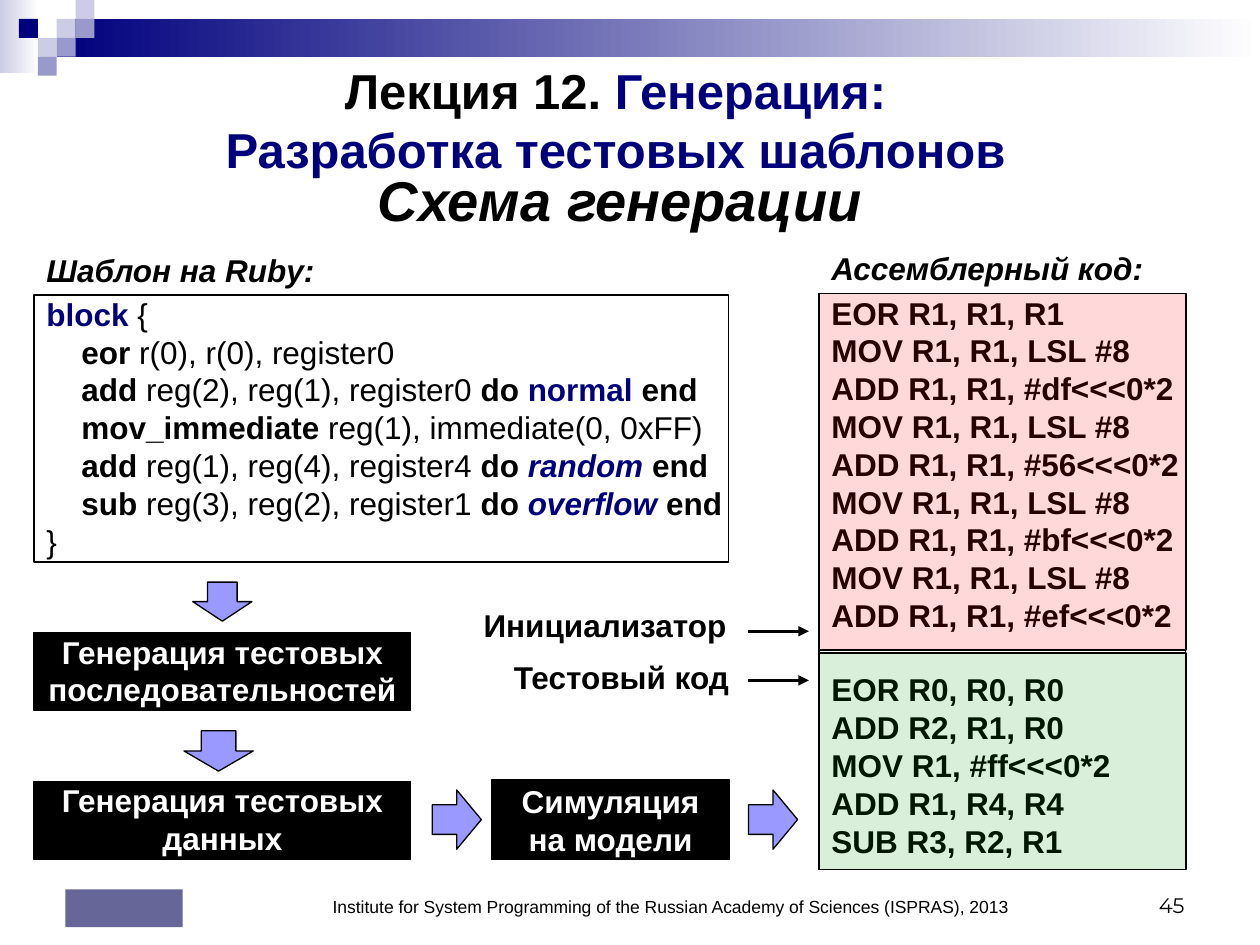
from dataclasses import dataclass

from pptx import Presentation
from pptx import util as u
from pptx.dml.color import RGBColor
from pptx.enum import shapes, text
from pptx.oxml.ns import qn
from lxml import etree

SHAPE = shapes.MSO_SHAPE
ALIGN = text.PP_ALIGN
ANCHOR = text.MSO_ANCHOR


@dataclass(frozen=True)
class Theme:
    font: str = "Arial"
    number_font: str = "Montserrat"
    black: str = "000000"
    white: str = "FFFFFF"
    navy: str = "00007D"
    violet: str = "9999CC"
    lavender: str = "CCCCE6"
    logo: str = "666699"
    arrow: str = "9999FF"
    initializer: str = "FF0000"
    test_code: str = "009900"
    title: int = 28
    subtitle: int = 32
    body: int = 18
    number: int = 12
    footer: int = 10
    thin: float = 0.75


THEME = Theme()


def write_text(frame, paragraphs, *, size=THEME.body, color=THEME.black, bold=False,
               italic=False, font=THEME.font, align=ALIGN.LEFT, anchor=ANCHOR.TOP,
               inset=0.0, wrap=True, line_spacing=None, gaps=None):
    """Each paragraph is a list of (text, overrides) runs or a plain string.

    gaps maps a paragraph index to its space before in points.
    """
    frame.word_wrap = wrap
    frame.vertical_anchor = anchor
    frame.margin_left = frame.margin_right = u.Inches(0.1)
    frame.margin_top = frame.margin_bottom = u.Inches(inset)
    for index, runs in enumerate(paragraphs):
        paragraph = frame.paragraphs[0] if index == 0 else frame.add_paragraph()
        paragraph.alignment = align
        if line_spacing:
            paragraph.line_spacing = line_spacing
        if gaps and index in gaps:
            paragraph.space_before = u.Pt(gaps[index])
        for words, style in [(runs, {})] if isinstance(runs, str) else runs:
            for number, line in enumerate(words.split("\n")):
                if number:
                    paragraph.add_line_break()
                run = paragraph.add_run()
                run.text = line
                run.font.name = font
                run.font.size = u.Pt(size)
                run.font.bold = style.get("bold", bold)
                run.font.italic = style.get("italic", italic)
                run.font.color.rgb = RGBColor.from_string(style.get("color", color))


class SlideBuilder:
    def __init__(self, slide, theme):
        self.slide = slide
        self.theme = theme

    def shape(self, box, fill, *, kind=SHAPE.RECTANGLE, line=None, opacity=None):
        shape = self.slide.shapes.add_shape(kind, *map(u.Inches, box))
        shape.shadow.inherit = False
        if isinstance(fill, tuple):
            shape.fill.gradient()
            shape.fill.gradient_angle = 0
            for stop, color in zip(shape.fill.gradient_stops, fill):
                stop.color.rgb = RGBColor.from_string(color)
                stop.position = fill.index(color)
        else:
            shape.fill.solid()
            shape.fill.fore_color.rgb = RGBColor.from_string(fill)
        if opacity:
            color = shape._element.spPr.find(qn("a:solidFill"))[0]
            etree.SubElement(color, qn("a:alpha"), val=str(opacity * 1000))
        if line:
            shape.line.color.rgb = RGBColor.from_string(self.theme.black)
            shape.line.width = u.Pt(line)
        else:
            shape.line.fill.background()
        return shape

    def panel(self, box, fill, paragraphs, **style):
        shape = self.shape(box, fill, line=self.theme.thin)
        write_text(shape.text_frame, paragraphs, **style)

    def step(self, box, label, **style):
        self.panel(box, self.theme.black, [label], color=self.theme.white,
                   bold=True, align=ALIGN.CENTER, **style)

    def tint(self, box, color):
        shape = self.shape(box, color, kind=SHAPE.ROUNDED_RECTANGLE, line=1, opacity=15)
        shape.adjustments[0] = 0

    def label(self, box, paragraphs, **style):
        frame = self.slide.shapes.add_textbox(*map(u.Inches, box)).text_frame
        write_text(frame, paragraphs, **{"inset": 0.05, **style})

    def pointer(self, left, right, y):
        connector = self.slide.shapes.add_connector(
            shapes.MSO_CONNECTOR.STRAIGHT, *map(u.Inches, (left, y, right, y)))
        connector.line.color.rgb = RGBColor.from_string(self.theme.black)
        connector.line.width = u.Pt(1.5)
        etree.SubElement(connector.line._get_or_add_ln(), qn("a:tailEnd"), type="triangle")
        etree.SubElement(connector._element.spPr, qn("a:effectLst"))


def template_call(name, arguments, mode=None, italic=True):
    """Runs of one indented template line, with an optional "do ... end" part."""
    runs = [(f"    {name}", {"bold": True}), (f" {arguments}", {})]
    if mode:
        runs[1] = (f" {arguments} ", {})
        runs += [("do ", {"bold": True}),
                 (f"{mode} ", {"bold": True, "italic": italic, "color": THEME.navy}),
                 ("end", {"bold": True})]
    return runs


def main():
    presentation = Presentation()
    presentation.slide_width, presentation.slide_height = u.Inches(10), u.Inches(7.5)
    slide = presentation.slides.add_slide(presentation.slide_layouts[6])
    builder = SlideBuilder(slide, THEME)

    # Header band and its squares
    builder.shape((0, 0, 0.31, 0.58), (THEME.lavender, THEME.white))
    builder.shape((0.45, 0.15, 9.55, 0.3), (THEME.navy, THEME.white))
    squares = [(3, 1, THEME.lavender), (4, 0, THEME.lavender), (4, 1, THEME.violet),
               (2, 2, THEME.lavender), (1, 1, THEME.navy), (3, 2, THEME.violet),
               (2, 3, THEME.violet)]
    side = 0.15
    for column, row, color in squares:
        builder.shape((column * side, row * side, side, side), color)

    # Footer
    builder.shape((0.52, 7.06, 0.93, 0.3), THEME.logo)
    builder.label((2.09, 6.83, 6.46, 0.5),
                  ["Institute for System Programming of the Russian Academy of Sciences "
                   "(ISPRAS), 2013"],
                  size=THEME.footer, align=ALIGN.CENTER, anchor=ANCHOR.BOTTOM,
                  line_spacing=0.8)
    builder.label((8.31, 6.83, 1.19, 0.5), ["45"], size=THEME.number,
                  font=THEME.number_font, align=ALIGN.RIGHT, anchor=ANCHOR.BOTTOM)

    # Titles
    builder.label((0.27, 0.36, 9.23, 1.18),
                  [[("Лекция 12. ", {}),
                    ("Генерация:\nРазработка тестовых шаблонов", {"color": THEME.navy})]],
                  size=THEME.title, bold=True, align=ALIGN.CENTER, anchor=ANCHOR.MIDDLE)
    builder.label((0.43, 1.31, 8.98, 0.55), ["Схема генерации"], size=THEME.subtitle,
                  bold=True, italic=True, align=ALIGN.CENTER, inset=0)

    # Ruby template
    builder.panel((0.27, 2.34, 5.51, 2.12), THEME.white, [
        [("block ", {"bold": True, "color": THEME.navy}), ("{", {})],
        template_call("eor", "r(0), r(0), register0"),
        template_call("add", "reg(2), reg(1), register0", "normal", italic=False),
        template_call("mov_immediate", "reg(1), immediate(0, 0xFF)"),
        template_call("add", "reg(1), reg(4), register4", "random"),
        template_call("sub", "reg(3), reg(2), register1", "overflow"),
        "}",
    ], wrap=False)
    builder.label((0.27, 1.94, 2.36, 0.4), ["Шаблон на Ruby:"], bold=True, italic=True)

    # Assembler code: initializer, then test code
    initializer = ["EOR R1, R1, R1"]
    for value in ("df", "56", "bf", "ef"):
        initializer += ["MOV R1, R1, LSL #8", f"ADD R1, R1, #{value}<<<0*2"]
    test_code = ["EOR R0, R0, R0", "ADD R2, R1, R0", "MOV R1, #ff<<<0*2",
                 "ADD R1, R4, R4", "SUB R3, R2, R1"]
    builder.panel((6.5, 2.33, 2.91, 4.57), THEME.white, initializer + test_code,
                  bold=True, wrap=False, gaps={len(initializer): 21})
    builder.label((6.5, 1.93, 2.99, 0.4), ["Ассемблерный код:"], bold=True, italic=True)
    builder.tint((6.5, 2.33, 2.91, 2.83), THEME.initializer)
    builder.tint((6.5, 5.18, 2.91, 1.72), THEME.test_code)

    # Generation steps
    builder.step((0.27, 5.02, 2.99, 0.62), "Генерация тестовых последовательностей")
    builder.step((0.27, 6.2, 2.99, 0.62), "Генерация тестовых данных")
    builder.step((3.9, 6.19, 1.89, 0.63), "Симуляция на модели", anchor=ANCHOR.MIDDLE)

    # Block arrows between the steps
    for kind, box in [(SHAPE.DOWN_ARROW, (1.53, 4.62, 0.47, 0.31)),
                      (SHAPE.DOWN_ARROW, (1.46, 5.8, 0.55, 0.32)),
                      (SHAPE.RIGHT_ARROW, (3.43, 6.27, 0.39, 0.47)),
                      (SHAPE.RIGHT_ARROW, (5.94, 6.27, 0.39, 0.47))]:
        builder.shape(box, THEME.arrow, kind=kind, line=THEME.thin)

    # Names of the code sections
    for caption, box, y in [("Инициализатор", (3.74, 4.76, 2.2, 0.4), 5.01),
                            ("Тестовый код", (3.98, 5.17, 1.97, 0.4), 5.4)]:
        builder.label(box, [caption], bold=True)
        builder.pointer(5.94, 6.42, y)

    presentation.save("out.pptx")


if __name__ == "__main__":
    main()
